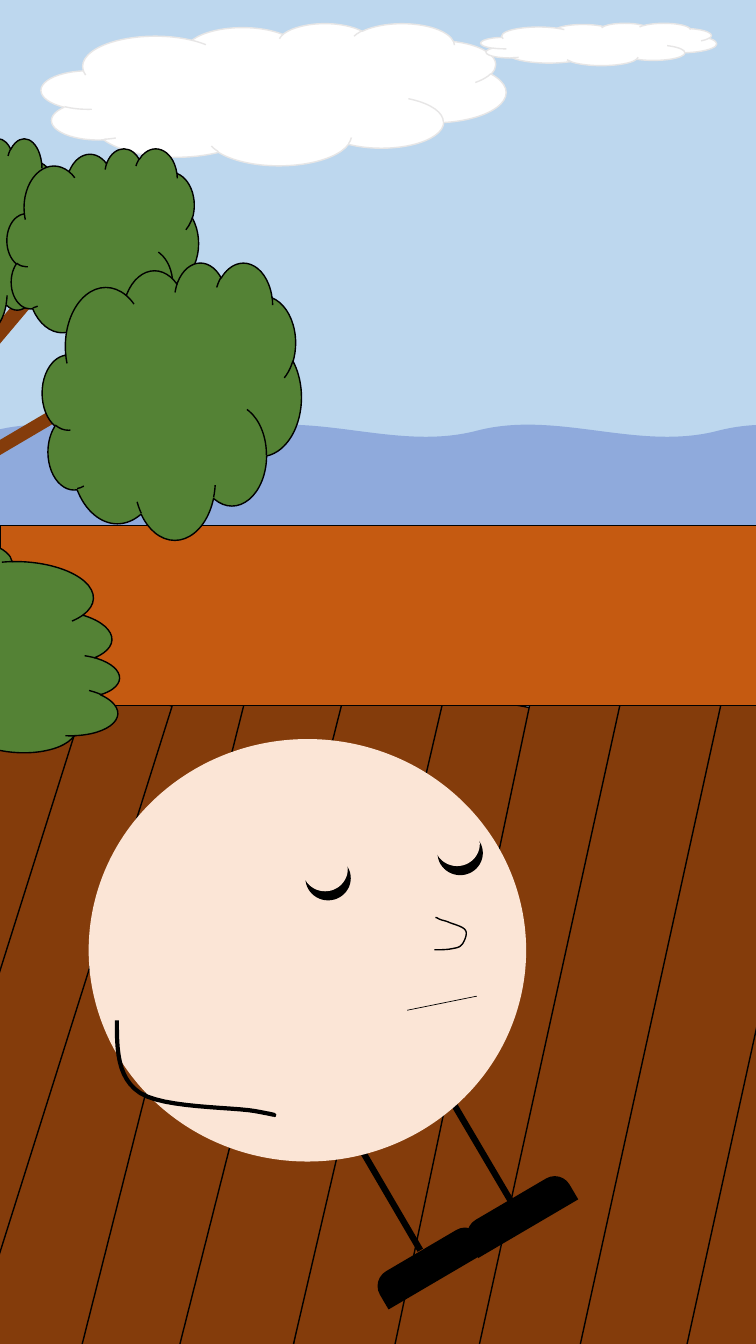
from pptx import Presentation
from pptx.dml.color import RGBColor
from pptx.enum.shapes import MSO_SHAPE
from pptx.oxml.ns import qn
from pptx.util import Pt
from lxml.etree import SubElement

PX = 9144
WIDE, HIGH = 750, 1333
BLACK, WOOD, LEAF, SKIN = "000000", "843C0B", "548235", "FBE5D6"


def px(value):
    return round(value * PX)


def paint(part, color):
    part.fore_color.rgb = RGBColor.from_string(color)


def stroke(line, color, width):
    line.fill.solid()
    paint(line.fill, color)
    line.width = Pt(width)


def place(shapes, kind, box, fill, edge=None, turn=0):
    shape = shapes.add_shape(kind, *map(px, box))
    shape.shadow.inherit = False
    shape.rotation = turn
    shape.fill.solid()
    paint(shape.fill, fill)
    if edge:
        stroke(shape.line, edge, 1)
    else:
        shape.line.fill.background()
    return shape


def draw(shapes, start, end, width):
    line = shapes.add_connector(1, *map(px, start + end))
    stroke(line.line, BLACK, width)
    SubElement(line._element.spPr, qn("a:effectLst"))


def bend(start, curves, steps=12):
    dots = [start]
    for one, two, end in curves:
        first = dots[-1]
        for step in range(1, steps + 1):
            t = step / steps
            u = 1 - t
            dots.append(tuple(
                u**3 * a + 3 * u * u * t * b + 3 * u * t * t * c + t**3 * d
                for a, b, c, d in zip(first, one, two, end)))
    return dots


def trace(shapes, dots, width):
    dots = [(px(x), px(y)) for x, y in dots]
    pen = shapes.build_freeform(*dots[0], scale=1.0)
    pen.add_line_segments(dots[1:], close=False)
    shape = pen.convert_to_shape()
    shape.shadow.inherit = False
    shape.fill.background()
    stroke(shape.line, BLACK, width)


def sky(shapes, box):
    left, top = box[:2]
    place(shapes, MSO_SHAPE.RECTANGLE, box, "BDD7EE")
    for x, w, h in [(41, 461, 141), (477, 234, 42)]:
        place(shapes, MSO_SHAPE.CLOUD, (left + x, top + 23, w, h), "FFFFFF", "E7E6E6")


def sea(shapes, box):
    left, top, w, h = box
    for x, y in [(-6, 0), (-90, 29)]:
        row = shapes.add_group_shape().shapes
        for col in range(2):
            place(row, MSO_SHAPE.DOUBLE_WAVE, (left + x + col * w, top + y, w, h), "8FAADC")


def deck(shapes, box):
    left, top = box[:2]
    planks = [
        (345, -13, 135, 734, 10.7), (446, -20, 102, 804, 11.9),
        (536, -24, 107, 777, 12.4), (246, -32, 112, 743, 13.1),
        (58, -24, 104, 681, 14.3), (160, -47, 94, 752, 14.2),
        (-77, -49, 81, 637, 16.2), (-7, -27, 84, 637, 17.5),
        (633, -10, 107, 777, 12.4), (727, 44, 107, 777, 12.4),
    ]
    for x, y, w, h, turn in planks:
        place(shapes, MSO_SHAPE.RECTANGLE, (left + x, top + y, w, h), WOOD, BLACK, turn)


def wall(shapes, box):
    place(shapes, MSO_SHAPE.RECTANGLE, box, "C55A11", BLACK)


def tree(shapes, box):
    left, top = box[:2]
    for x, y, w, h, turn in [(-11, 203, 13, 213, 59.5), (-23, 104, 15, 213, 40.1)]:
        place(shapes, MSO_SHAPE.CAN, (left + x, top + y, w, h), WOOD, turn=turn)
    crowns = [(-97, 0, 156, 194, 0), (7, 10, 190, 194, 0),
              (42, 123, 257, 275, 0), (-154, 336, 213, 337, 92.7)]
    for x, y, w, h, turn in crowns:
        place(shapes, MSO_SHAPE.CLOUD, (left + x, top + y, w, h), LEAF, BLACK, turn)


def person(shapes, box):
    left, top = box[:2]
    body = shapes.add_group_shape().shapes

    def at(x, y):
        return left + x, top + y

    def curve(start, curves, width):
        dots = bend(start, curves)
        trace(body, [at(*dot) for dot in dots], width)

    for start, end in [((253, 377), (329, 507)), ((358, 355), (434, 484))]:
        draw(body, at(*start), at(*end), 4.5)
    place(body, MSO_SHAPE.OVAL, box, SKIN)
    for x, y in [(370, 454), (281, 505)]:
        shoe = place(body, MSO_SHAPE.ROUND_2_SAME_RECTANGLE, at(x, y) + (115, 34), BLACK, turn=329.6)
        shoe.adjustments[0] = 0.5
        shoe.adjustments[1] = 0
    curve((28, 279), [
        ((28, 307), (28, 336), (51, 351)),
        ((74, 366), (143, 365), (165, 369)),
        ((187, 373), (184, 373), (184, 373)),
    ], 3)
    curve((344, 177), [
        ((346, 177), (346, 178), (349, 179)),
        ((351, 180), (354, 180), (358, 182)),
        ((363, 184), (372, 186), (374, 190)),
        ((376, 193), (373, 200), (371, 203)),
        ((368, 207), (365, 207), (360, 208)),
        ((355, 209), (349, 209), (343, 209)),
    ], 1)
    for x, y in [(215, 116), (346, 91)]:
        place(body, MSO_SHAPE.OVAL, at(x, y) + (45, 44), BLACK)
        place(body, MSO_SHAPE.OVAL, at(x - 3, y - 9) + (45, 44), SKIN)
    draw(shapes, at(316, 269), at(385, 255), 0.5)


def main():
    deck_file = Presentation()
    deck_file.slide_width = px(WIDE)
    deck_file.slide_height = px(HIGH)
    shapes = deck_file.slides.add_slide(deck_file.slide_layouts[6]).shapes
    sky(shapes, (0, 0, WIDE, HIGH))
    sea(shapes, (0, 421, 479, 100))
    deck(shapes, (0, 700, WIDE, 633))
    wall(shapes, (0, 521, 752, 179))
    tree(shapes, (0, 137, 299, 609))
    person(shapes, (88, 733, 434, 419))
    deck_file.save("out.pptx")


if __name__ == "__main__":
    main()
